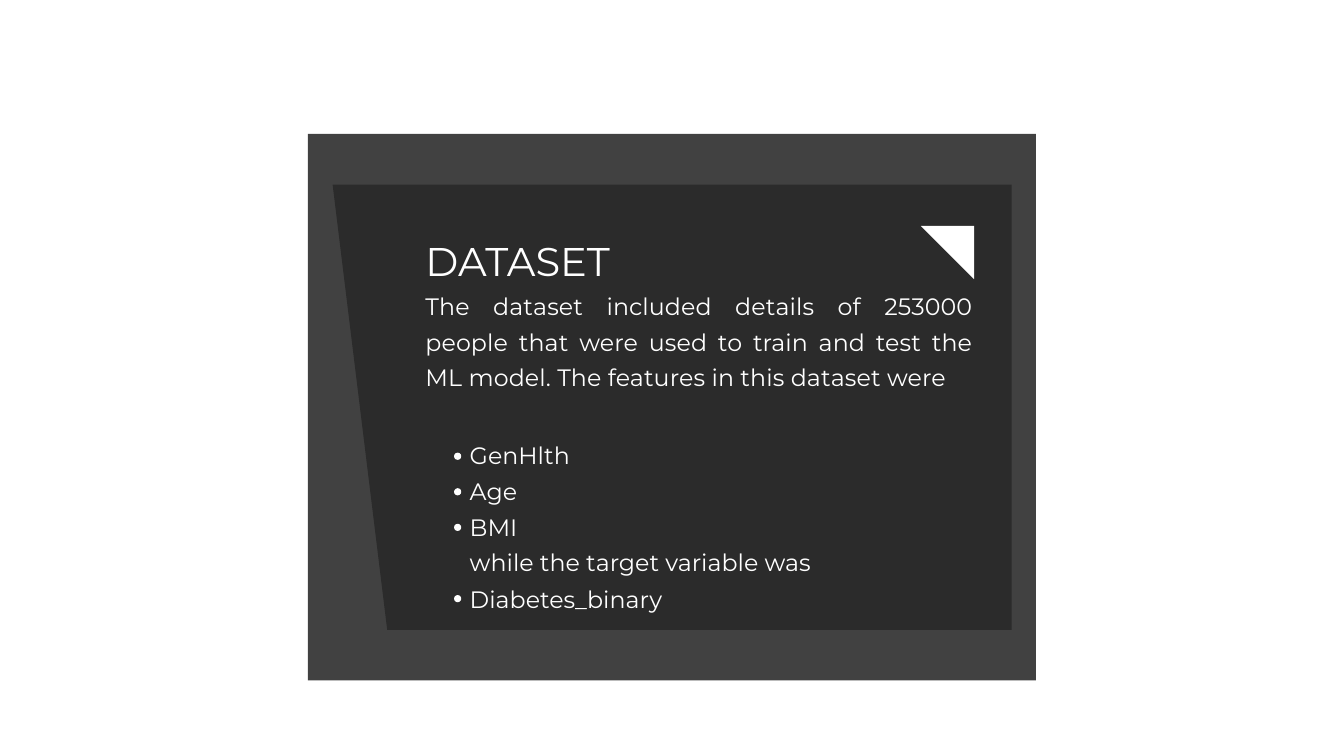
from dataclasses import dataclass

import pptx
import pptx.dml.color
import pptx.enum.shapes
import pptx.enum.text
import pptx.util

Pt = pptx.util.Pt
ALIGN = pptx.enum.text.PP_ALIGN
SHAPE = pptx.enum.shapes.MSO_SHAPE
COLORS = {"frame": "414141", "panel": "2B2B2B", "light": "FFFFFF"}
FONT = "Montserrat"
TITLE_LINE, BODY_LINE = 60, 38.1
TEXT_LEFT, LIST_LEFT = 455.8, 503.3
LIST_TOP, TARGET_TOP, TARGET_NAME_TOP = 465.1, 579.6, 619.2
DOT_LEFT, DOT_SIZE, DOT_DROP = 486.5, 7.7, 19.9


@dataclass
class Polygon:
    points: list[tuple[float, float]]
    color: str


@dataclass
class TextBlock:
    left: float
    top: float
    width: float
    lines: list[str]
    size: float = 25.4
    spacing: float = BODY_LINE
    align: ALIGN = ALIGN.LEFT
    tracking: float = 0


POLYGONS = [
    Polygon([(356.4, 197.8), (414.9, 674.8), (1084, 674.8), (1084, 197.8)], "panel"),
    Polygon([(986.6, 242), (1043.8, 299.2), (1043.8, 242)], "light"),
]
TITLE = TextBlock(TEXT_LEFT, 244.8, 500, ["DATASET"], 42.9, TITLE_LINE)
INTRO = TextBlock(
    TEXT_LEFT,
    305,
    586.8,
    [
        "The dataset included details of 253000 people that were used to train "
        "and test the ML model. The features in this dataset were"
    ],
    align=ALIGN.JUSTIFY,
    tracking=0.12,
)
FEATURES = TextBlock(LIST_LEFT, LIST_TOP, 342, ["GenHlth", "Age", "BMI"])
TARGET = TextBlock(LIST_LEFT, TARGET_TOP, 395, ["while the target variable was"])
TARGET_NAME = TextBlock(LIST_LEFT, TARGET_NAME_TOP, 215.3, ["Diabetes_binary"])


def rgb(name: str) -> pptx.dml.color.RGBColor:
    return pptx.dml.color.RGBColor.from_string(COLORS[name])


def paint(sp, color: str) -> None:
    """Give a shape a flat fill with no outline or shadow."""
    sp.shadow.inherit = False
    sp.fill.solid()
    sp.fill.fore_color.rgb = rgb(color)
    sp.line.fill.background()


def draw_preset(s, kind, box: tuple[float, float, float, float], color: str) -> None:
    paint(s.shapes.add_shape(kind, *(Pt(v) for v in box)), color)


def draw_polygon(s, polygon: Polygon) -> None:
    points = [(Pt(x), Pt(y)) for x, y in polygon.points]
    builder = s.shapes.build_freeform(*points[0], scale=1.0)
    builder.add_line_segments(points[1:], close=True)
    paint(builder.convert_to_shape(), polygon.color)


def write_block(sp, block: TextBlock, rows: int = 1) -> None:
    """Place a text shape, sized for its rows, and write one paragraph per line."""
    sp.left, sp.top, sp.width = Pt(block.left), Pt(block.top), Pt(block.width)
    sp.height = Pt(rows * block.spacing)
    tf = sp.text_frame
    frame_format = {
        "word_wrap": True,
        "auto_size": pptx.enum.text.MSO_AUTO_SIZE.NONE,
        "vertical_anchor": pptx.enum.text.MSO_ANCHOR.TOP,
        "margin_left": 0,
        "margin_top": 0,
        "margin_right": 0,
        "margin_bottom": 0,
    }
    for name, value in frame_format.items():
        setattr(tf, name, value)
    for i, line in enumerate(block.lines):
        p = tf.paragraphs[0] if i == 0 else tf.add_paragraph()
        p.alignment = block.align
        p.line_spacing = Pt(block.spacing)
        r = p.add_run()
        r.text = line
        for name, value in {"name": FONT, "size": Pt(block.size)}.items():
            setattr(r.font, name, value)
        r.font.color.rgb = rgb("light")
        if block.tracking:
            r._r.get_or_add_rPr().set("spc", str(round(block.tracking * 100)))


def main() -> None:
    prs = pptx.Presentation()
    prs.slide_width, prs.slide_height = Pt(1440), Pt(810)
    s = prs.slides.add_slide(prs.slide_layouts[5])
    title = s.shapes.title
    draw_preset(s, SHAPE.RECTANGLE, (330, 143.5, 779.8, 585.4), "frame")
    for polygon in POLYGONS:
        draw_polygon(s, polygon)
    feature_tops = [LIST_TOP + i * BODY_LINE for i in range(len(FEATURES.lines))]
    for top in [*feature_tops, TARGET_NAME_TOP - 1.5]:
        dot = (DOT_LEFT, top + DOT_DROP, DOT_SIZE, DOT_SIZE)
        draw_preset(s, SHAPE.OVAL, dot, "light")
    s.shapes._spTree.append(title._element)  # bring the title in front of the panel
    write_block(title, TITLE)
    for block, rows in ((INTRO, 3), (FEATURES, 3), (TARGET, 1), (TARGET_NAME, 1)):
        write_block(s.shapes.add_textbox(0, 0, 0, 0), block, rows)
    prs.save("out.pptx")


if __name__ == "__main__":
    main()
